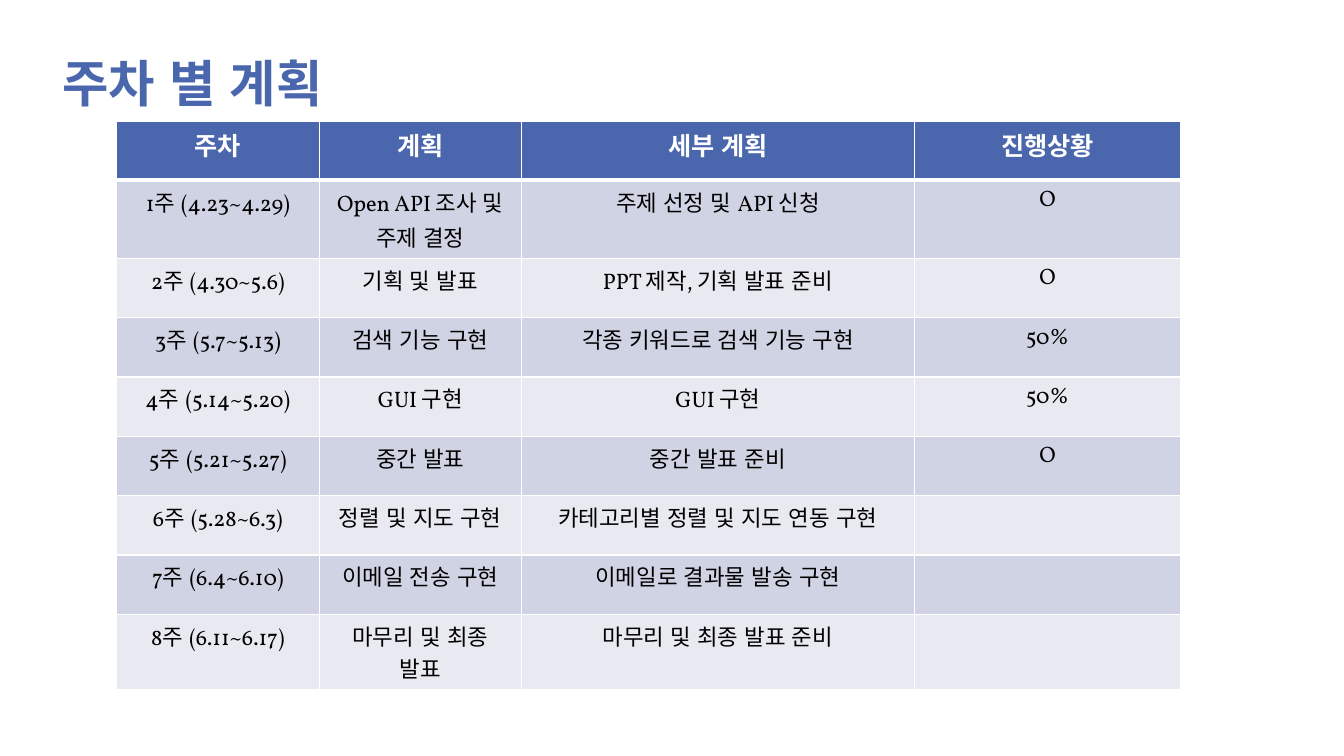
"""Build the weekly plan slide with its progress table."""
from lxml import etree
from pptx import Presentation
from pptx.dml.color import RGBColor
from pptx.enum import lang, text
from pptx.oxml import ns
from pptx.util import Pt

LATIN, HANGUL = "Vollkorn", "Noto Sans CJK KR"
BLUE, WHITE, BLACK = "4A66AC", "FFFFFF", "000000"
BANDS = ("D0D3E3", "E9EAF1")

PLAN = [
    ("주차", "계획", "세부 계획", "진행상황"),
    ("1주 (4.23~4.29)", "Open API 조사 및 주제 결정", "주제 선정 및 API 신청", "O"),
    ("2주 (4.30~5.6)", "기획 및 발표", "PPT 제작, 기획 발표 준비", "O"),
    ("3주 (5.7~5.13)", "검색 기능 구현", "각종 키워드로 검색 기능 구현", "50%"),
    ("4주 (5.14~5.20)", "GUI 구현", "GUI 구현", "50%"),
    ("5주 (5.21~5.27)", "중간 발표", "중간 발표 준비", "O"),
    ("6주 (5.28~6.3)", "정렬 및 지도 구현", "카테고리별 정렬 및 지도 연동 구현", ""),
    ("7주 (6.4~6.10)", "이메일 전송 구현", "이메일로 결과물 발송 구현", ""),
    ("8주 (6.11~6.17)", "마무리 및 최종 발표", "마무리 및 최종 발표 준비", ""),
]
COLUMN_WIDTHS = (144.8, 144.4, 280.8, 190)
ROW_HEIGHTS = (42.4, 55.8, *[42.4] * 6, 53.6)


def color(value):
    """Turn a hex string into a colour."""
    return RGBColor.from_string(value)


def write(frame, words, *, size, fill, bold=False, font=LATIN, align=None, spacing=None):
    """Write one formatted paragraph into a text frame."""
    paragraph = frame.paragraphs[0]
    paragraph.alignment = align
    paragraph.line_spacing = spacing
    if not words:
        return
    run = paragraph.add_run()
    run.text = words
    run.font.size = Pt(size)
    run.font.bold = bold
    run.font.name = font
    run.font.language_id = lang.MSO_LANGUAGE_ID.KOREAN
    run.font.color.rgb = color(fill)
    run.font._element.set("kern", "0")
    east_asian = etree.Element(ns.qn("a:ea"), typeface=HANGUL)
    run.font._element.find(ns.qn("a:latin")).addnext(east_asian)


def border(cell, widths):
    """Draw white borders of the given widths, keyed by side."""
    properties = cell._tc.get_or_add_tcPr()
    for side, width in widths.items():
        line = etree.SubElement(properties, ns.qn(f"a:ln{side}"), w=str(Pt(width)))
        solid = etree.SubElement(line, ns.qn("a:solidFill"))
        etree.SubElement(solid, ns.qn("a:srgbClr"), val=WHITE)


class PlanSlide:
    """Hold the slide and the style of its elements."""

    def __init__(self, deck):
        """Add a blank slide to the deck."""
        self.slide = deck.slides.add_slide(deck.slide_layouts[6])
        self.header = dict(size=18, fill=WHITE, bold=True)
        self.body = dict(size=16, fill=BLACK)

    def title(self, words, left, top, width, height):
        """Add the bottom-anchored heading."""
        frame = self.slide.shapes.add_textbox(Pt(left), Pt(top), Pt(width), Pt(height)).text_frame
        frame.word_wrap = True
        frame.vertical_anchor = text.MSO_ANCHOR.BOTTOM
        write(frame, words, size=36, fill=BLUE, bold=True, font=HANGUL, spacing=0.8)

    def table(self, rows, left, top, widths, heights):
        """Add a banded table with a header row."""
        schedule = self.slide.shapes.add_table(
            len(rows), len(widths), Pt(left), Pt(top),
            Pt(sum(widths)), Pt(sum(heights))).table
        for column, width in zip(schedule.columns, widths):
            column.width = Pt(width)
        for r, row in enumerate(rows):
            schedule.rows[r].height = Pt(heights[r])
            for c, words in enumerate(row):
                cell = schedule.cell(r, c)
                cell.margin_left = cell.margin_right = Pt(9)
                border(cell, {"L": 1, "R": 1, "T": 3 if r == 1 else 1, "B": 3 if r == 0 else 1})
                cell.fill.solid()
                cell.fill.fore_color.rgb = color(BANDS[(r - 1) % 2] if r else BLUE)
                write(cell.text_frame, words, align=text.PP_ALIGN.CENTER,
                      **(self.body if r else self.header))


def main():
    """Build and save the deck."""
    deck = Presentation()
    deck.slide_width, deck.slide_height = Pt(960), Pt(540)
    plan = PlanSlide(deck)
    plan.title("주차 별 계획", 37.5, 0, 684, 84)
    plan.table(PLAN, 83.2, 86.4, COLUMN_WIDTHS, ROW_HEIGHTS)
    deck.save("out.pptx")


if __name__ == "__main__":
    main()
